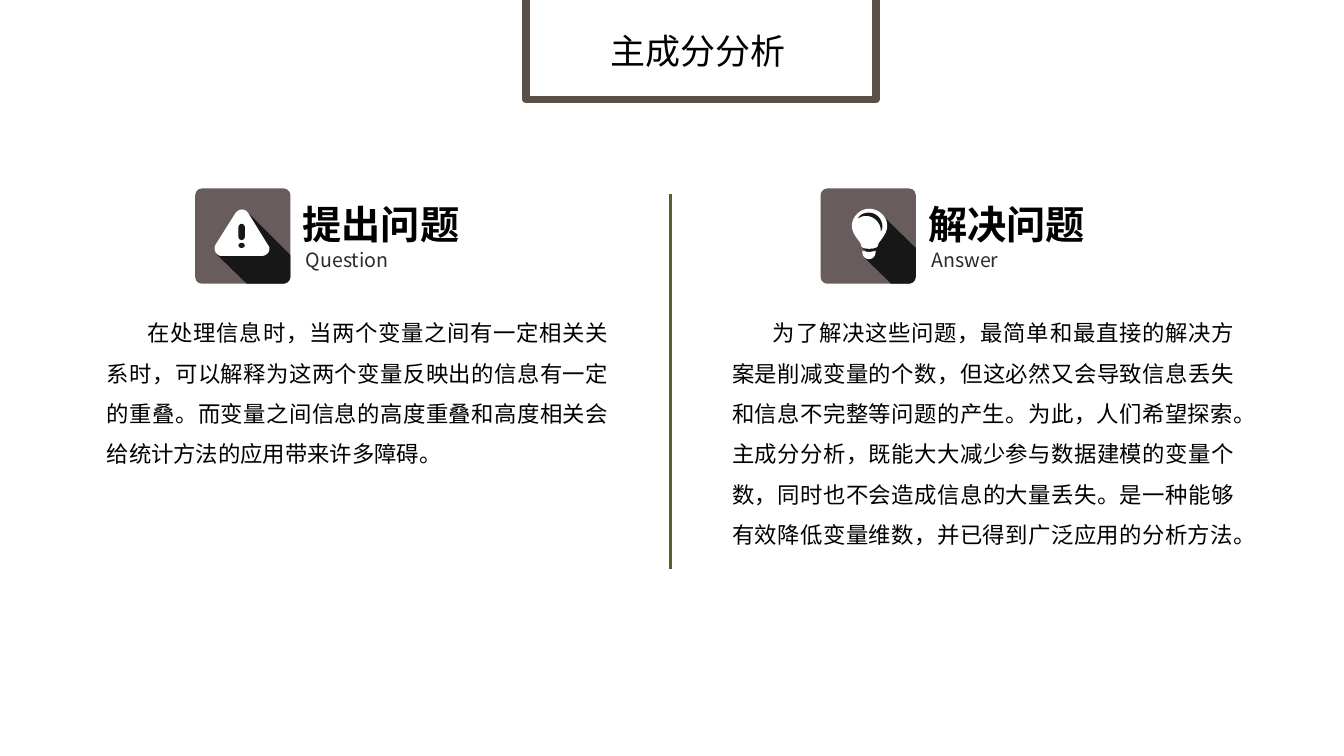
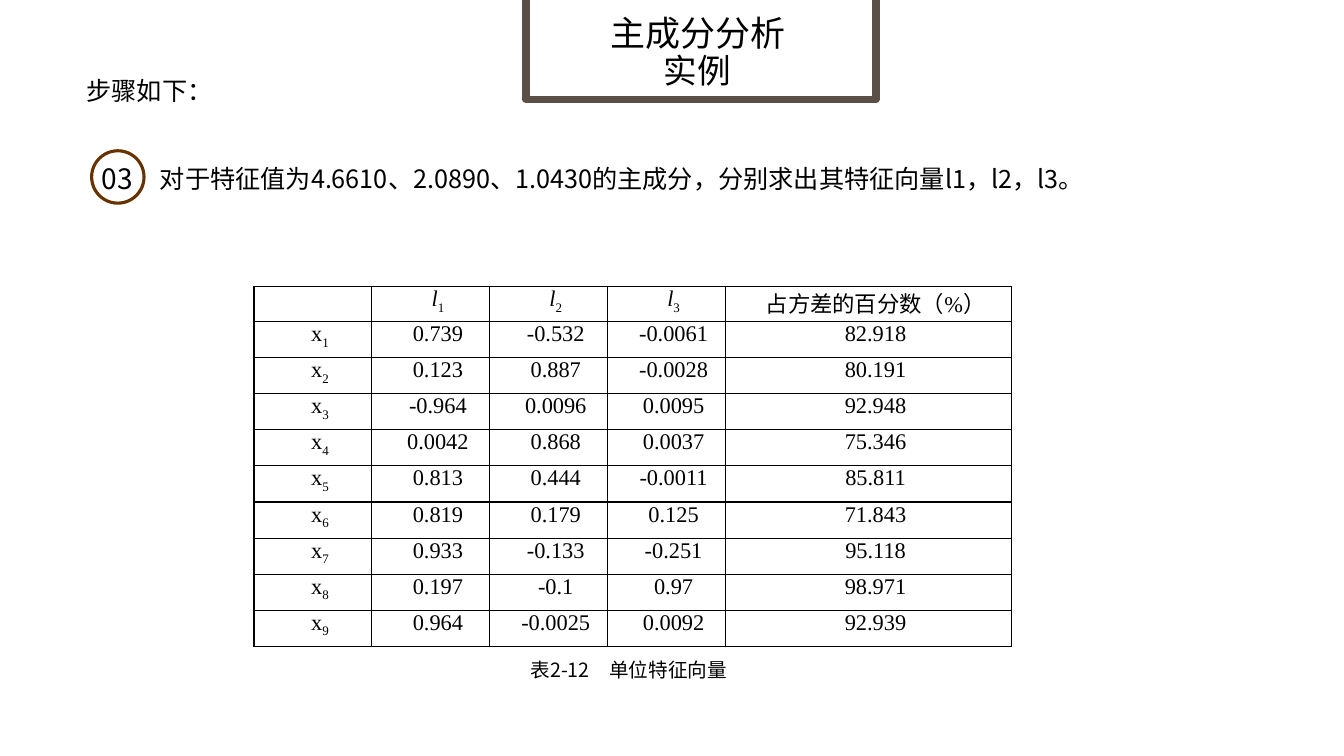
from lxml import etree
from pptx import Presentation
from pptx.dml.color import RGBColor
from pptx.enum.shapes import MSO_CONNECTOR, MSO_SHAPE
from pptx.enum.text import MSO_ANCHOR, PP_ALIGN
from pptx.oxml.ns import qn
from pptx.util import Cm, Pt

RECT, ROUND = MSO_SHAPE.RECTANGLE, MSO_SHAPE.ROUNDED_RECTANGLE
OVAL, RING = MSO_SHAPE.OVAL, MSO_SHAPE.FLOWCHART_CONNECTOR
LINE = MSO_CONNECTOR.STRAIGHT
LEFT, MID, JUST = PP_ALIGN.LEFT, PP_ALIGN.CENTER, PP_ALIGN.JUSTIFY
TOP, CENTER = MSO_ANCHOR.TOP, MSO_ANCHOR.MIDDLE

SANS, SERIF = "Noto Sans CJK SC", "Times New Roman"
BLACK, WHITE, GRAY = "000000", "FFFFFF", "2B2B2B"
FRAME, RULE, BROWN = "5B5047", "575F2F", "663300"
TILE, SHADE = "685D5C", "181717"

# Icon outlines in cm from the tile corner: pairs are points, sixes are curves
SIGN_SHADE = [(1.3, 0.58), (2.4, 1.68), (2.4, 2.21),
              (2.4, 2.31, 2.31, 2.4, 2.21, 2.4), (1.3, 2.4), (0.53, 1.65)]
SIGN = [(1.02, 0.61), (1.07, 0.56, 1.12, 0.53, 1.18, 0.53),
        (1.24, 0.53, 1.29, 0.56, 1.33, 0.61), (1.83, 1.42),
        (1.88, 1.48, 1.88, 1.53, 1.85, 1.6),
        (1.81, 1.66, 1.75, 1.7, 1.68, 1.7), (0.66, 1.7),
        (0.6, 1.7, 0.54, 1.66, 0.51, 1.6),
        (0.48, 1.53, 0.48, 1.48, 0.51, 1.42)]
BULB_SHADE = [(1.14, 0.56), (1.52, 0.64), (2.4, 1.5), (2.4, 2.21),
              (2.4, 2.31, 2.31, 2.4, 2.21, 2.4), (1.78, 2.4), (1.09, 1.73),
              (1.19, 1.63), (1.04, 1.47), (0.89, 0.74)]
BASE = [(1.05, 1.57), (1.1, 1.58, 1.16, 1.6, 1.22, 1.6),
        (1.28, 1.6, 1.34, 1.58, 1.39, 1.57),
        (1.39, 1.68, 1.34, 1.78, 1.22, 1.78),
        (1.1, 1.78, 1.05, 1.68, 1.05, 1.57)]
GLASS = [(1.22, 0.51), (1.47, 0.51, 1.68, 0.71, 1.68, 0.94),
         (1.68, 1.17, 1.45, 1.35, 1.45, 1.42),
         (1.45, 1.49, 1.35, 1.52, 1.22, 1.52),
         (1.09, 1.52, 1.02, 1.49, 1.02, 1.42),
         (1.02, 1.35, 0.79, 1.17, 0.79, 0.94),
         (0.79, 0.71, 1, 0.51, 1.22, 0.51)]
GLINT = [(1.14, 0.69), (1.35, 0.69, 1.52, 0.86, 1.52, 1.07), (1.52, 1.09),
         (1.54, 1.05, 1.56, 1, 1.56, 0.97),
         (1.56, 0.76, 1.4, 0.61, 1.22, 0.61),
         (1.09, 0.61, 0.99, 0.66, 0.94, 0.76),
         (0.99, 0.72, 1.07, 0.69, 1.14, 0.69)]

ASK = "在处理信息时，当两个变量之间有一定相关关系时，可以解释为这两个变量反映出的信息有一定的重叠。而变量之间信息的高度重叠和高度相关会给统计方法的应用带来许多障碍。"
REPLY = "为了解决这些问题，最简单和最直接的解决方案是削减变量的个数，但这必然又会导致信息丢失和信息不完整等问题的产生。为此，人们希望探索。主成分分析，既能大大减少参与数据建模的变量个数，同时也不会造成信息的大量丢失。是一种能够有效降低变量维数，并已得到广泛应用的分析方法。"
STEP = "对于特征值为4.6610、2.0890、1.0430的主成分，分别求出其特征向量l1，l2，l3。"
SHARE = "占方差的百分数（%）"
DATA = [
    ("0.739", "-0.532", "-0.0061", "82.918"),
    ("0.123", "0.887", "-0.0028", "80.191"),
    ("-0.964", "0.0096", "0.0095", "92.948"),
    ("0.0042", "0.868", "0.0037", "75.346"),
    ("0.813", "0.444", "-0.0011", "85.811"),
    ("0.819", "0.179", "0.125", "71.843"),
    ("0.933", "-0.133", "-0.251", "95.118"),
    ("0.197", "-0.1", "0.97", "98.971"),
    ("0.964", "-0.0025", "0.0092", "92.939"),
]


def paint(fill, color):
    fill.solid()
    fill.fore_color.rgb = RGBColor.from_string(color)


def style(run, size, color=BLACK, bold=False, face=SANS):
    font = run.font
    font.size, font.bold, font.name = Pt(size), bold, face
    paint(font.fill, color)
    etree.SubElement(run._r.get_or_add_rPr(), qn("a:ea")).set("typeface", SANS)


def indent(para, width):
    para._p.get_or_add_pPr().set("indent", str(Cm(width)))


def finish(item, fill, line=None, width=0):
    item.shadow.inherit = False
    paint(item.fill, fill)
    if line:
        paint(item.line.fill, line)
        item.line.width = Pt(width)
    else:
        item.line.fill.background()
    return item


def shape(slide, kind, box, fill, line=None, width=0):
    item = slide.shapes.add_shape(kind, *map(Cm, box))
    return finish(item, fill, line, width)


def label(slide, box, lines, align=LEFT, space=None, anchor=TOP):
    """Each line is text, size and, if needed, colour and bold."""
    frame = slide.shapes.add_textbox(*map(Cm, box)).text_frame
    frame.word_wrap, frame.vertical_anchor = True, anchor
    frame.text = "\n".join(line[0] for line in lines)
    for para, line in zip(frame.paragraphs, lines):
        para.alignment, para.line_spacing = align, space
        style(para.runs[0], *line[1:])
    return frame


def trace(steps, count=8):
    points = []
    for step in steps:
        if len(step) == 2:
            points.append(step)
            continue
        ends = [points[-1], step[:2], step[2:4], step[4:]]
        for i in range(1, count + 1):
            t = i / count
            parts = ((1 - t) ** 3, 3 * t * (1 - t) ** 2,
                     3 * t * t * (1 - t), t ** 3)
            points.append(tuple(sum(w * p[k] for w, p in zip(parts, ends))
                                for k in (0, 1)))
    return points


def outline(slide, x, y, steps, color):
    spots = [(Cm(x + a), Cm(y + b)) for a, b in trace(steps)]
    pen = slide.shapes.build_freeform(*spots[0])
    pen.add_line_segments(spots[1:], close=True)
    finish(pen.convert_to_shape(), color)


def tile(slide, x, y, shade):
    back = shape(slide, ROUND, (x, y, 2.4, 2.4), TILE)
    back.adjustments[0] = 0.07
    outline(slide, x, y, shade, SHADE)


def warn(slide, x, y):
    tile(slide, x, y, SIGN_SHADE)
    outline(slide, x, y, SIGN, WHITE)
    bar = shape(slide, ROUND, (x + 1.09, y + 0.89, 0.16, 0.41), SHADE)
    bar.adjustments[0] = 0.5
    shape(slide, OVAL, (x + 1.09, y + 1.37, 0.16, 0.13), SHADE)


def bulb(slide, x, y):
    tile(slide, x, y, BULB_SHADE)
    for steps, color in ((BASE, WHITE), (GLASS, WHITE), (GLINT, SHADE)):
        outline(slide, x, y, steps, color)


def banner(slide, lines):
    shape(slide, RECT, (13.26, -1.83, 8.81, 4.34), WHITE, FRAME, 5.5)
    label(slide, (13.49, 0.08, 8.18, 2.54), lines, MID, 0.9, CENTER)


def column(slide, x, y, icon, head, sub, body):
    icon(slide, x + 2.48, y)
    label(slide, (x + 4.94, y + 0.18, 4.78, 1.45), [(head, 28, BLACK, True)])
    label(slide, (x + 5.02, y + 1.37, 4, 0.86), [(sub, 14, GRAY)])
    frame = label(slide, (x, y + 2.84, 13.16, 6.4), [(body, 16)], JUST, 1.5)
    indent(frame.paragraphs[0], 1.03)


def step(slide, x, y, mark, text):
    shape(slide, RING, (x, y, 1.32, 1.32), WHITE, BROWN, 2.25)
    label(slide, (x, y + 0.15, 1.47, 1.12), [(mark, 20)])
    label(slide, (x + 1.47, y + 0.2, 25.6, 1.02), [(text, 18)])


def border(cell):
    props = cell._tc.get_or_add_tcPr()
    for i, side in enumerate(("lnL", "lnR", "lnT", "lnB")):
        edge = etree.Element(qn("a:" + side), w=str(Pt(1)))
        fill = etree.SubElement(edge, qn("a:solidFill"))
        etree.SubElement(fill, qn("a:srgbClr")).set("val", BLACK)
        props.insert(i, edge)


def write(cell, text, sub="", slant=False):
    para = cell.text_frame.paragraphs[0]
    para.alignment = MID
    indent(para, 0.36)
    for part in filter(None, (text, sub)):
        run = para.add_run()
        run.text = part
        style(run, 16, face=SERIF)
        run.font.italic = slant and part == text
        if part == sub:
            run._r.get_or_add_rPr().set("baseline", "-25000")


def table(slide, x, y):
    widths = [2.97] * 4 + [7.21]
    heights = [0.88] + [0.91] * len(DATA)
    heads = [("",)] + [("l", str(i), True) for i in (1, 2, 3)] + [(SHARE,)]
    rows = [heads] + [[("x", str(i))] + [(value,) for value in row]
                      for i, row in enumerate(DATA, 1)]
    grid = slide.shapes.add_table(
        len(rows), len(widths), Cm(x), Cm(y),
        Cm(sum(widths)), Cm(sum(heights))).table
    for col, width in zip(grid.columns, widths):
        col.width = Cm(width)
    for row, height, items in zip(grid.rows, heights, rows):
        row.height = Cm(height)
        for cell, item in zip(row.cells, items):
            cell.margin_left = cell.margin_right = Cm(0.3)
            cell.margin_top = cell.margin_bottom = 0
            paint(cell.fill, WHITE)
            border(cell)
            write(cell, *item)


def compare(slide):
    banner(slide, [("主成分分析", 25)])
    rule = slide.shapes.add_connector(
        LINE, Cm(16.89), Cm(14.33), Cm(16.89), Cm(4.9))
    paint(rule.line.fill, RULE)
    rule.line.width = Pt(2.25)
    etree.SubElement(rule._element.spPr, qn("a:effectLst"))
    column(slide, 2.44, 4.75, warn, "提出问题", "Question", ASK)
    column(slide, 18.2, 4.75, bulb, "解决问题", "Answer", REPLY)


def sample(slide):
    banner(slide, [("主成分分析", 25), ("实例", 24)])
    step(slide, 2.31, 3.8, "03", STEP)
    table(slide, 6.4, 7.22)
    label(slide, (12.85, 16.46, 6, 0.86), [("表2-12　单位特征向量", 14)], MID)
    label(slide, (1.93, 1.78, 4, 1.02), [("步骤如下：", 18)])


def main():
    deck = Presentation()
    deck.slide_width, deck.slide_height = Cm(33.87), Cm(19.05)
    for build in (compare, sample):
        build(deck.slides.add_slide(deck.slide_layouts[6]))
    deck.save("out.pptx")


if __name__ == "__main__":
    main()
